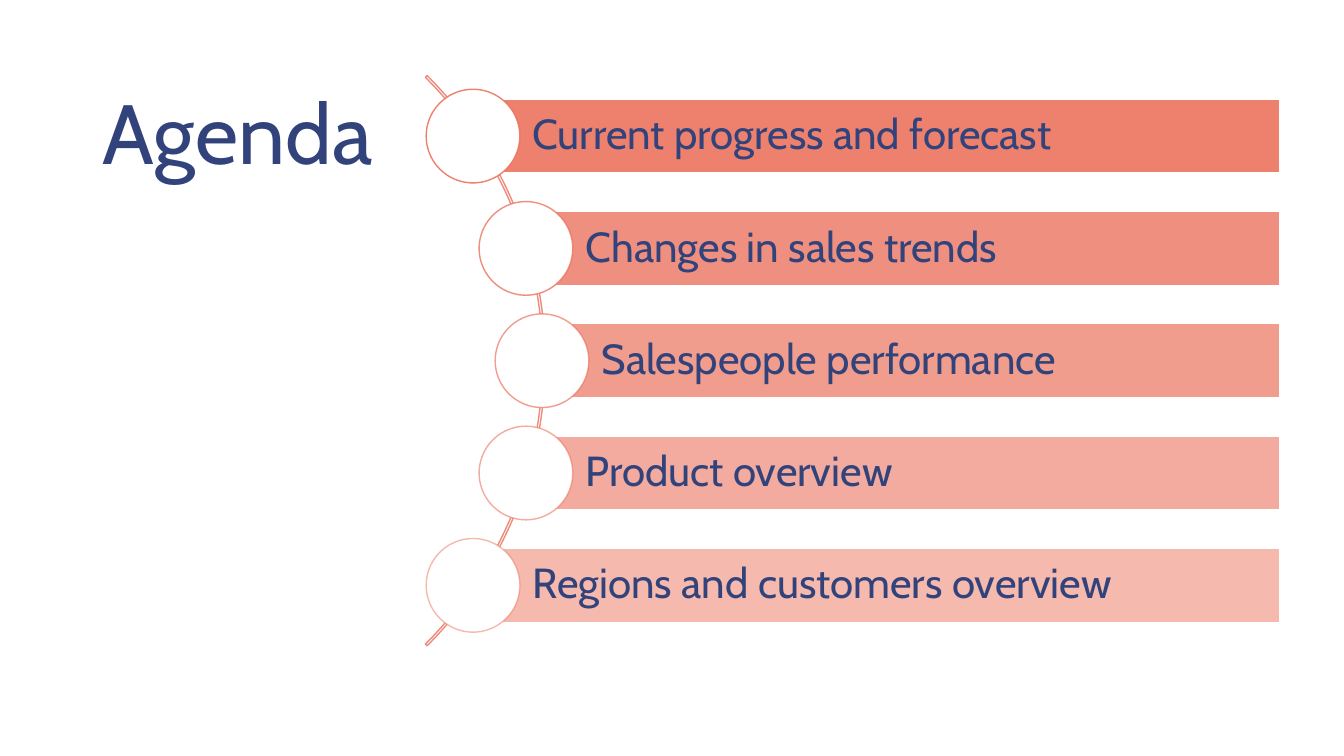
import math

from lxml import etree
from pptx import Presentation
from pptx.dml.color import RGBColor
from pptx.enum import shapes, text
from pptx.oxml.ns import qn
from pptx.util import Cm, Pt

TITLE = "Agenda"
TOPICS = [
    ("Current progress and forecast", 90),
    ("Changes in sales trends", 80),
    ("Salespeople performance", 70),
    ("Product overview", 60),
    ("Regions and customers overview", 50),
]
COLOURS = {"navy": "31437A", "coral": "EC745F", "arc": "EE8B7D", "white": "FFFFFF"}
FONT = "Cabin"

ARC_X, ARC_Y, ARC_SIZE = 3.58, 9.09, 20.32
DOT_ORBIT, DOT_SIZE = 10.08, 2.36
PITCH, BAR_HEIGHT, BAR_RIGHT = 2.83, 1.87, 32.26


def paint(colour_format, name, opacity=100):
    colour_format.rgb = RGBColor.from_string(COLOURS[name])
    return opacity


def set_opacity(fill, parent, opacity):
    if opacity < 100:
        colour = parent.find(qn("a:solidFill")).find(qn("a:srgbClr"))
        etree.SubElement(colour, qn("a:alpha"), val=str(opacity * 1000))


def add_figure(slide, kind, box, fill, line, fill_opacity=100, line_opacity=100):
    figure = slide.shapes.add_shape(kind, *map(Cm, box))
    figure.shadow.inherit = False
    if fill:
        figure.fill.solid()
        paint(figure.fill.fore_color, fill)
        set_opacity(figure.fill, figure._element.spPr, fill_opacity)
    else:
        figure.fill.background()
    figure.line.width = Pt(1)
    paint(figure.line.color, line)
    set_opacity(figure.line.fill, figure._element.spPr.find(qn("a:ln")), line_opacity)
    return figure


def write(figure, words, size):
    frame = figure.text_frame
    frame.text = words
    frame.word_wrap = True
    frame.vertical_anchor = text.MSO_ANCHOR.MIDDLE
    line = frame.paragraphs[0]
    line.alignment = text.PP_ALIGN.LEFT
    font = line.runs[0].font
    font.name, font.size = FONT, Pt(size)
    paint(font.color, "navy")
    return frame


def main():
    deck = Presentation()
    deck.slide_width, deck.slide_height = Cm(33.87), Cm(19.05)
    slide = deck.slides.add_slide(deck.slide_layouts[6])

    title = slide.shapes.add_textbox(Cm(2.34), Cm(1.52), Cm(9.5), Cm(3.58))
    write(title, TITLE, 60)

    arc_box = (ARC_X - ARC_SIZE / 2, ARC_Y - ARC_SIZE / 2, ARC_SIZE, ARC_SIZE)
    arc = add_figure(slide, shapes.MSO_SHAPE.BLOCK_ARC, arc_box, None, "arc")
    for index, value in enumerate((189, 27, 0.003)):
        arc.adjustments[index] = value

    for index, (topic, opacity) in enumerate(TOPICS):
        rise = (index - (len(TOPICS) - 1) / 2) * PITCH
        x = ARC_X + math.sqrt(DOT_ORBIT ** 2 - rise ** 2)
        y = ARC_Y + rise

        bar_box = (x, y - BAR_HEIGHT / 2, BAR_RIGHT - x, BAR_HEIGHT)
        bar = add_figure(slide, shapes.MSO_SHAPE.RECTANGLE, bar_box, "coral", "white",
                         fill_opacity=opacity)
        frame = write(bar, topic, 30)
        frame.margin_left = Cm(1.5)
        frame.margin_top = frame.margin_right = frame.margin_bottom = Cm(0.2)
        frame.paragraphs[0].line_spacing = 0.9

        dot_box = (x - DOT_SIZE / 2, y - DOT_SIZE / 2, DOT_SIZE, DOT_SIZE)
        add_figure(slide, shapes.MSO_SHAPE.OVAL, dot_box, "white", "coral",
                   line_opacity=opacity)

    deck.save("out.pptx")


if __name__ == "__main__":
    main()
